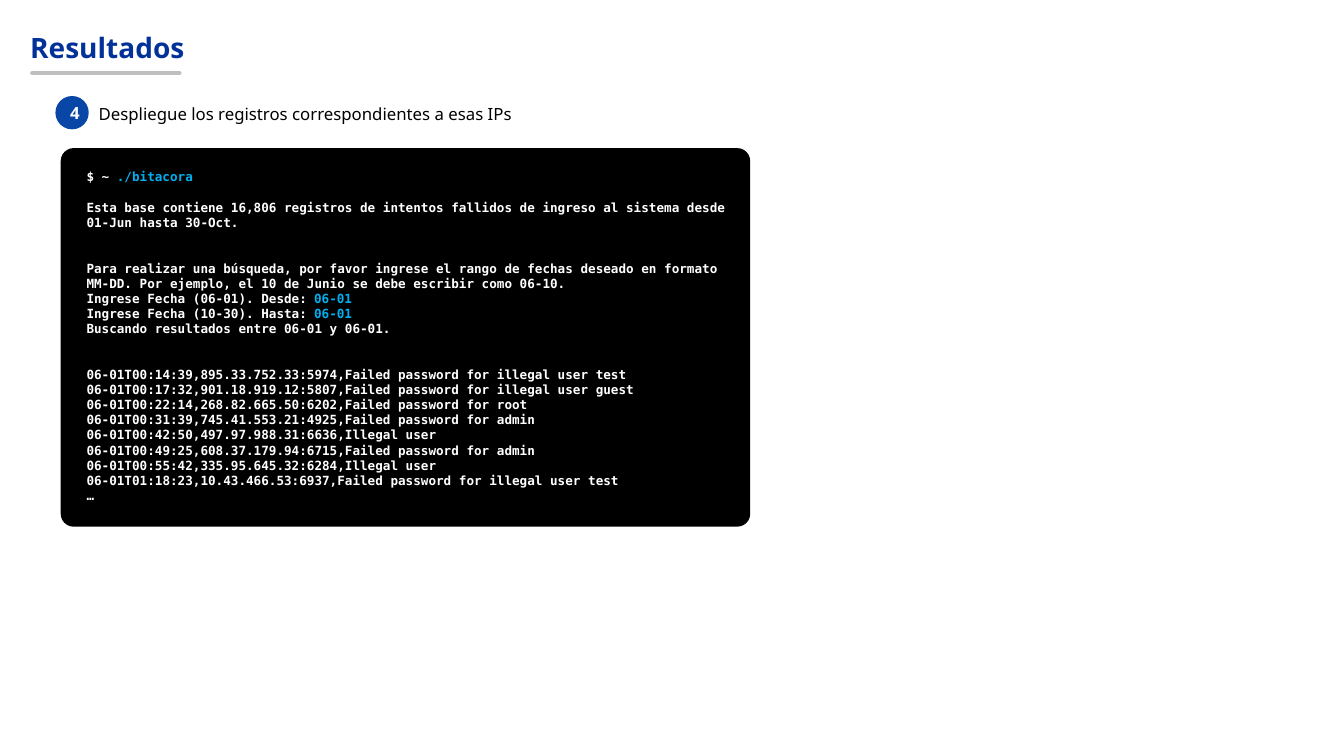
"""Build the results slide with the terminal session of step four."""
from lxml.etree import SubElement
from pptx import Presentation
from pptx.dml.color import RGBColor
from pptx.enum.shapes import MSO_CONNECTOR, MSO_SHAPE
from pptx.enum.text import MSO_ANCHOR, MSO_AUTO_SIZE, PP_ALIGN
from pptx.oxml.ns import qn
from pptx.util import Pt

COLORS = {"title": "03319A", "badge": "0847A6", "rule": "BFBFBF",
          "black": "000000", "white": "FFFFFF", "input": "00B0F0"}
SANS, MONO = "Noto Sans", "DejaVu Sans Mono"
ONE_LINE, TWO_LINES = 10.8, 21.8


def style(span, font, size, color, bold=False):
    span.font.name = font
    span.font.size = Pt(size)
    span.font.bold = bold
    span.font.color.rgb = RGBColor.from_string(COLORS[color])


def add_panel(page, kind, left, top, width, height, color):
    panel = page.shapes.add_shape(kind, Pt(left), Pt(top), Pt(width), Pt(height))
    panel.shadow.inherit = False
    panel.fill.solid()
    panel.fill.fore_color.rgb = RGBColor.from_string(COLORS[color])
    panel.line.fill.background()
    return panel


deck = Presentation()
deck.slide_width, deck.slide_height = Pt(960), Pt(540)
page = deck.slides.add_slide(deck.slide_layouts[5])

title = page.shapes.title
title.left, title.top, title.width, title.height = Pt(14.4), Pt(12.2), Pt(367), Pt(43.2)
frame = title.text_frame
frame.text = "Resultados"
frame.auto_size = MSO_AUTO_SIZE.NONE
frame.vertical_anchor = MSO_ANCHOR.MIDDLE
frame.margin_left = frame.margin_right = frame.margin_top = frame.margin_bottom = Pt(7.2)
frame.paragraphs[0].alignment = PP_ALIGN.LEFT
style(frame.paragraphs[0].runs[0], SANS, 20, "title", True)

step = page.shapes.add_textbox(Pt(63.4), Pt(70.6), Pt(518.4), Pt(21.6))
step.text_frame.word_wrap = True
step.text_frame.text = "Despliegue los registros correspondientes a esas IPs"
style(step.text_frame.paragraphs[0].runs[0], SANS, 12, "black")

rule = page.shapes.add_connector(MSO_CONNECTOR.STRAIGHT, Pt(23), Pt(52.2), Pt(128.2), Pt(52.2))
rule.line.width = Pt(3)
rule.line.color.rgb = RGBColor.from_string(COLORS["rule"])
properties = rule.element.spPr
properties.find(qn("a:ln")).set("cap", "rnd")
SubElement(properties, qn("a:effectLst"))

badge = add_panel(page, MSO_SHAPE.OVAL, 39.6, 68.6, 23.8, 23.8, "badge")
badge.text_frame.text = "4"
badge.text_frame.vertical_anchor = MSO_ANCHOR.MIDDLE
badge.text_frame.paragraphs[0].alignment = PP_ALIGN.CENTER
style(badge.text_frame.paragraphs[0].runs[0], SANS, 12, "white", True)

terminal = add_panel(page, MSO_SHAPE.ROUNDED_RECTANGLE, 43.4, 105.8, 492.5, 270.4, "black")
terminal.adjustments[0] = 0.034

session = [
    (0, "$ ~ ", "./bitacora"),
    (ONE_LINE, "Esta base contiene 16,806 registros de intentos fallidos de ingreso "
               "al sistema desde 01-Jun hasta 30-Oct.", ""),
    (TWO_LINES, "Para realizar una búsqueda, por favor ingrese el rango de fechas deseado "
                "en formato MM-DD. Por ejemplo, el 10 de Junio se debe escribir como 06-10.", ""),
    (0, "Ingrese Fecha (06-01). Desde: ", "06-01"),
    (0, "Ingrese Fecha (10-30). Hasta: ", "06-01"),
    (0, "Buscando resultados entre 06-01 y 06-01.", ""),
    (TWO_LINES, "06-01T00:14:39,895.33.752.33:5974,Failed password for illegal user test", ""),
    (0, "06-01T00:17:32,901.18.919.12:5807,Failed password for illegal user guest", ""),
    (0, "06-01T00:22:14,268.82.665.50:6202,Failed password for root", ""),
    (0, "06-01T00:31:39,745.41.553.21:4925,Failed password for admin", ""),
    (0, "06-01T00:42:50,497.97.988.31:6636,Illegal user", ""),
    (0, "06-01T00:49:25,608.37.179.94:6715,Failed password for admin", ""),
    (0, "06-01T00:55:42,335.95.645.32:6284,Illegal user", ""),
    (0, "06-01T01:18:23,10.43.466.53:6937,Failed password for illegal user test", ""),
    (0, "…", ""),
]
console = page.shapes.add_textbox(Pt(54.7), Pt(117.4), Pt(472.5), Pt(247))
console.text_frame.word_wrap = True
for index, (gap, output, typed) in enumerate(session):
    para = console.text_frame.add_paragraph() if index else console.text_frame.paragraphs[0]
    para.space_before = Pt(gap)
    para.text = output
    style(para.runs[0], MONO, 9, "white", True)
    if typed:
        span = para.add_run()
        span.text = typed
        style(span, MONO, 9, "input", True)

deck.save("out.pptx")
